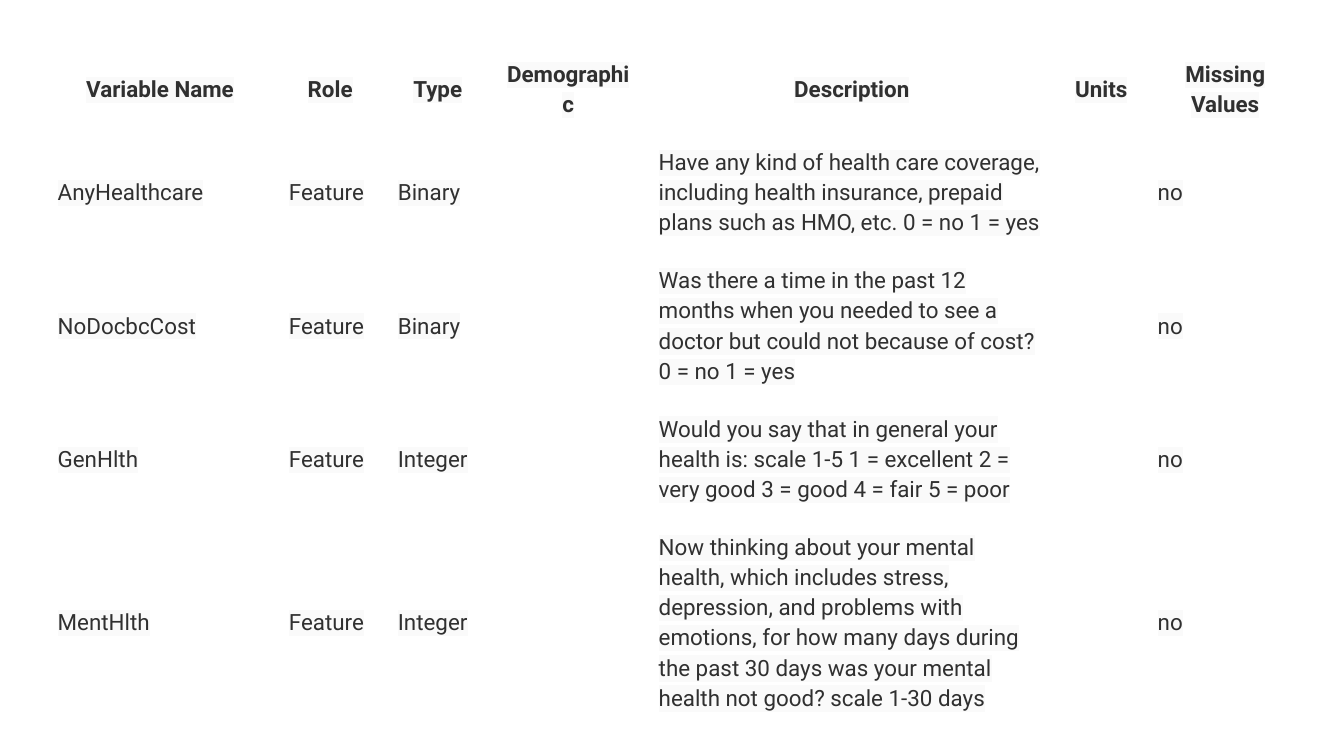
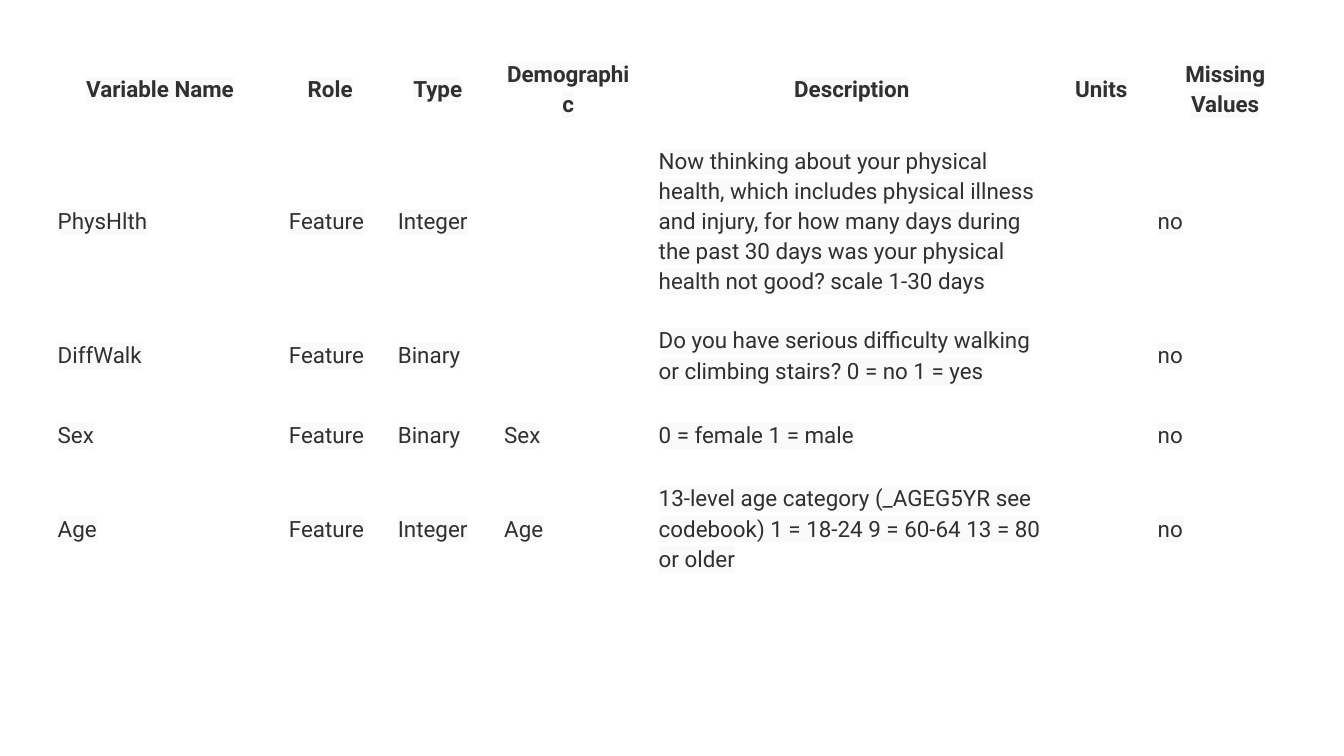
from lxml.etree import SubElement
from pptx import Presentation
from pptx.dml.color import RGBColor as Rgb
from pptx.enum.text import MSO_ANCHOR as Anchor, PP_ALIGN as Align
from pptx.oxml.ns import qn
from pptx.util import Cm, Pt

COLORS = {"ink": "303030", "highlight": "FAFAFA", "border": "E5E7EB"}
FONT = "Roboto"
PLAIN_STYLE = "{2D5ABB26-0587-4C30-8999-92F81FD0307C}"
TABLE_BOX = (0.84, 0.84, 23.84, 8.33)
HEADINGS = ("Variable Name", "Role", "Type", "Demographic", "Description", "Units", "Missing Values")
COLUMN_WIDTHS = (4.37, 2.06, 2.01, 2.92, 7.8, 1.63, 3.05)
HEADING_HEIGHT = 1.07

HEALTH_VARIABLES = [
    (2.26, "AnyHealthcare", "Binary", "",
     "Have any kind of health care coverage, including health insurance, prepaid plans "
     "such as HMO, etc. 0 = no 1 = yes"),
    (2.26, "NoDocbcCost", "Binary", "",
     "Was there a time in the past 12 months when you needed to see a doctor but could not "
     "because of cost? 0 = no 1 = yes"),
    (2.26, "GenHlth", "Integer", "",
     "Would you say that in general your health is: scale 1-5 1 = excellent 2 = very good "
     "3 = good 4 = fair 5 = poor"),
    (3.3, "MentHlth", "Integer", "",
     "Now thinking about your mental health, which includes stress, depression, and problems "
     "with emotions, for how many days during the past 30 days was your mental health not "
     "good? scale 1-30 days"),
]
PERSONAL_VARIABLES = [
    (3.3, "PhysHlth", "Integer", "",
     "Now thinking about your physical health, which includes physical illness and injury, "
     "for how many days during the past 30 days was your physical health not good? "
     "scale 1-30 days"),
    (1.73, "DiffWalk", "Binary", "",
     "Do you have serious difficulty walking or climbing stairs? 0 = no 1 = yes"),
    (1.19, "Sex", "Binary", "Sex", "0 = female 1 = male"),
    (2.26, "Age", "Integer", "Age",
     "13-level age category (_AGEG5YR see codebook) 1 = 18-24 9 = 60-64 13 = 80 or older"),
]


def add_color(parent, color):
    """Append an sRGB colour element and return it."""
    return SubElement(parent, qn("a:srgbClr"), val=COLORS[color])


def set_borders(cell):
    """Give all four sides of a cell a fully transparent hairline."""
    properties = cell._tc.get_or_add_tcPr()
    for position, side in enumerate(("a:lnL", "a:lnR", "a:lnT", "a:lnB")):
        border = SubElement(properties, qn(side), w=str(Pt(0.75)))
        color = add_color(SubElement(border, qn("a:solidFill")), "border")
        SubElement(color, qn("a:alpha"), val="0")
        properties.insert(position, border)


def write_cell(cell, wording, heading):
    """Format one cell and write its highlighted wording."""
    cell.fill.background()
    set_borders(cell)
    cell.vertical_anchor = Anchor.MIDDLE
    cell.margin_left = cell.margin_right = cell.margin_top = cell.margin_bottom = Cm(0.25)
    if not wording:
        return
    paragraph = cell.text_frame.paragraphs[0]
    paragraph.alignment = Align.CENTER if heading else Align.LEFT
    paragraph.line_spacing = 1.15
    font = paragraph.font
    font.name, font.size, font.bold = FONT, Pt(12), heading
    font.color.rgb = Rgb.from_string(COLORS["ink"])
    run = paragraph.add_run()
    run.text = wording
    add_color(SubElement(run._r.get_or_add_rPr(), qn("a:highlight")), "highlight")


def add_variable_table(slide, box, variables):
    """Place the table of variables in the given box."""
    frame = slide.shapes.add_table(len(variables) + 1, len(HEADINGS), *map(Cm, box))
    table = frame.table
    table.first_row = table.horz_banding = False
    table._tbl.tblPr.find(qn("a:tableStyleId")).text = PLAIN_STYLE
    for column, width in zip(table.columns, COLUMN_WIDTHS):
        column.width = Cm(width)
    records = [(HEADING_HEIGHT, HEADINGS)]
    for height, name, kind, demographic, description in variables:
        records.append((height, (name, "Feature", kind, demographic, description, "", "no")))
    for index, (row, (height, wordings)) in enumerate(zip(table.rows, records)):
        row.height = Cm(height)
        for cell, wording in zip(row.cells, wordings):
            write_cell(cell, wording, heading=index == 0)


def main():
    """Build and save the presentation."""
    deck = Presentation()
    deck.slide_width, deck.slide_height = Cm(25.4), Cm(14.29)
    for variables in (HEALTH_VARIABLES, PERSONAL_VARIABLES):
        slide = deck.slides.add_slide(deck.slide_layouts[6])
        add_variable_table(slide, TABLE_BOX, variables)
    deck.save("out.pptx")


if __name__ == "__main__":
    main()
